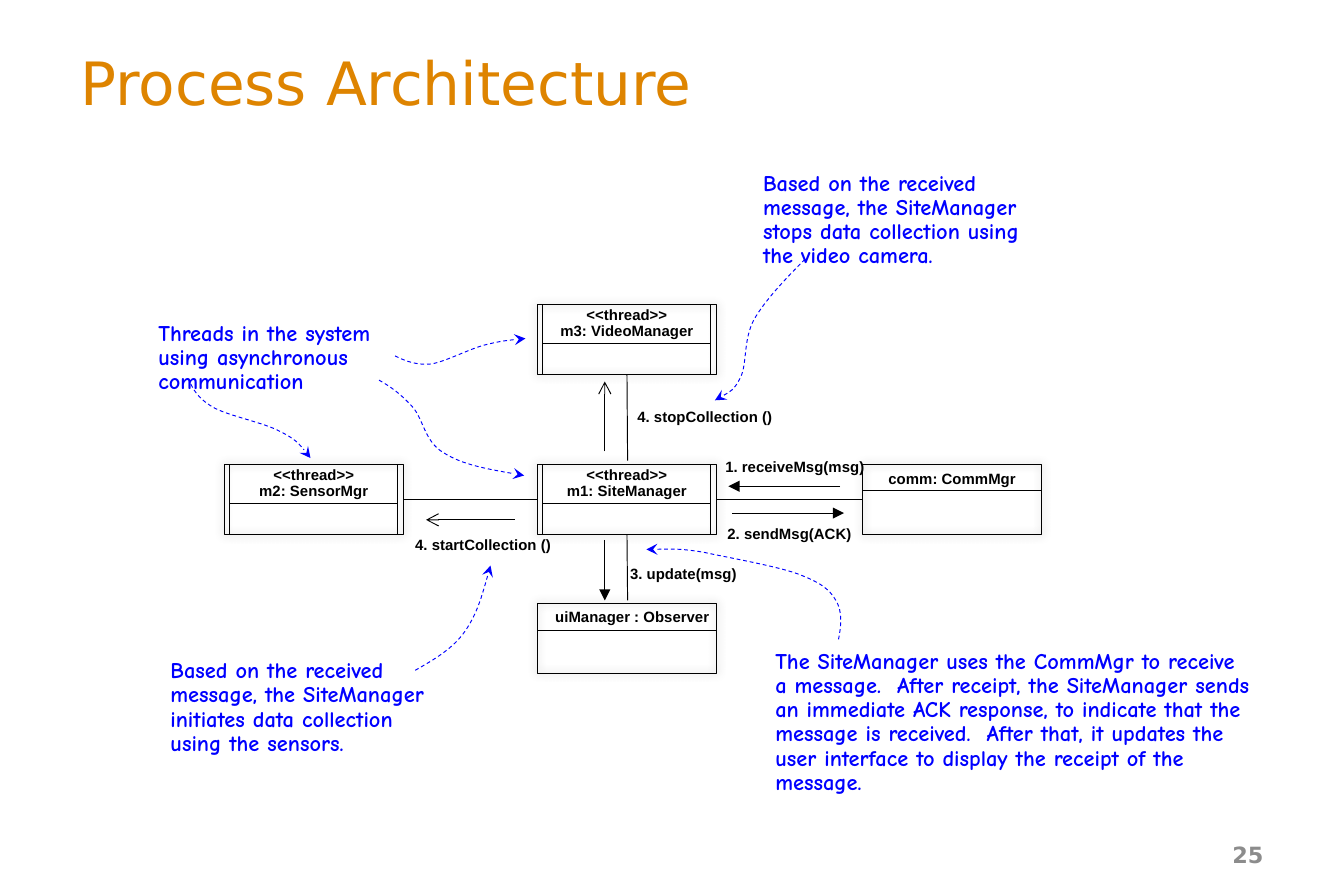
from lxml import etree
from pptx import Presentation, util as u
from pptx.dml.color import RGBColor
from pptx.enum import dml, shapes, text
from pptx.oxml import parse_xml
from pptx.oxml.ns import nsdecls, qn

PX = 9144  # 100 px to the inch
COLORS = {"title": "DE8400", "number": "8C8C8C", "ink": "000000", "note": "0000FF"}
BOX_W, BOX_H, LABEL_H, BAR = 133, 52, 22, 4

# name: left, top
THREADS = {
    "m1: SiteManager": (400, 346),
    "m3: VideoManager": (400, 227),
    "m2: SensorMgr": (167, 346),
}
# name: left, top, divider offset, label width
OBJECTS = {
    "uiManager : Observer": (400, 449, 20, 141),
    "comm: CommMgr": (642, 346, 19, BOX_W),
}
# start, end, (box, side) joined at the start, (box, side) joined at the end
LINKS = [
    ((400, 372), (300, 372), ("m1: SiteManager", 1), ("m2: SensorMgr", 3)),
    ((467, 343), (467, 279), None, ("m3: VideoManager", 2)),
    ((467, 398), (467, 447), ("m1: SiteManager", 2), None),
    ((533, 372), (642, 372), ("m1: SiteManager", 3), ("comm: CommMgr", 1)),
]
# start, end, arrowhead, wording, wording left and top
MESSAGES = [
    ((625, 362), (542, 362), "triangle", "1. receiveMsg(msg)", 525, 337),
    ((545, 382), (628, 382), "triangle", "2. sendMsg(ACK)", 521, 387),
    ((450, 402), (450, 447), "triangle", "3. update(msg)", 442, 417),
    ((383, 387), (317, 387), "arrow", "4. startCollection ()", 293, 395),
    ((450, 336), (450, 284), "arrow", "4. stopCollection ()", 458, 300),
]
# wording, left, top, width, height, and curves: a start, then Bezier points in threes
NOTES = [
    ("Threads in the system using asynchronous communication", 108, 235, 200, 65, [
        [(294, 265), (302, 269), (310, 272), (321, 271), (332, 269), (349, 260),
         (360, 257), (372, 254), (381, 253), (391, 252)],
        [(282, 283), (291, 288), (299, 294), (307, 303), (315, 312), (316, 329),
         (330, 337), (344, 346), (367, 350), (390, 354)],
        [(142, 286), (145, 292), (149, 298), (160, 304), (172, 310), (197, 315),
         (208, 321), (220, 327), (226, 334), (231, 341)],
    ]),
    ("The SiteManager uses the CommMgr to receive a message.  After receipt, the "
     "SiteManager sends an immediate ACK response, to indicate that the message is "
     "received.  After that, it updates the user interface to display the receipt "
     "of the message.", 567, 479, 375, 138, [
        [(624, 476), (626, 466), (627, 455), (622, 447), (617, 438), (609, 433),
         (593, 427), (576, 421), (541, 415), (523, 411), (504, 408), (493, 409),
         (481, 409)],
     ]),
    ("Based on the received message, the SiteManager initiates data collection "
     "using the sensors.", 117, 486, 217, 101, [
        [(309, 499), (323, 491), (337, 483), (346, 470), (355, 457), (360, 439),
         (365, 421)],
     ]),
    ("Based on the received message, the SiteManager stops data collection using "
     "the video camera.", 558, 123, 217, 101, [
        [(599, 193), (584, 208), (569, 224), (561, 238), (553, 253), (556, 271),
         (551, 281), (546, 291), (539, 294), (532, 298)],
     ]),
]

prs = Presentation()
prs.slide_width, prs.slide_height = 1000 * PX, 667 * PX
slide = prs.slides.add_slide(prs.slide_layouts[6])


def rgb(name):
    return RGBColor.from_string(COLORS[name])


def style_line(part, color, head=None):
    part.line.color.rgb = rgb(color)
    part.line.width = u.Pt(0.5)
    if head:
        etree.SubElement(part.line._get_or_add_ln(), qn("a:tailEnd"), type=head)


def add_text(words, left, top, width, height, size, font, color, bold=False,
             align=text.PP_ALIGN.LEFT, middle=False, spacing=None):
    frame = slide.shapes.add_textbox(left * PX, top * PX, width * PX, height * PX).text_frame
    frame.word_wrap = True
    frame.vertical_anchor = text.MSO_ANCHOR.MIDDLE if middle else text.MSO_ANCHOR.TOP
    frame.text = words
    paragraph = frame.paragraphs[0]
    paragraph.alignment = align
    if spacing:
        paragraph.line_spacing = spacing
    run_font = paragraph.runs[0].font
    run_font.size, run_font.name, run_font.bold = u.Pt(size), font, bold
    run_font.color.rgb = rgb(color)


def add_label(words, left, top, width=BOX_W):
    add_text(words, left, top, width, LABEL_H, 8, "Arial", "ink", True,
             text.PP_ALIGN.CENTER, spacing=0.9)


def add_line(start, end, head=None):
    line = slide.shapes.add_connector(
        shapes.MSO_CONNECTOR.STRAIGHT, *(n * PX for n in start + end))
    style_line(line, "ink", head)
    etree.SubElement(line._element.spPr, qn("a:effectLst"))
    return line


def add_box(left, top):
    box = slide.shapes.add_shape(
        shapes.MSO_SHAPE.RECTANGLE, left * PX, top * PX, BOX_W * PX, BOX_H * PX)
    box.fill.background()
    style_line(box, "ink")
    box.shadow.inherit = False
    box._element.spPr.find(qn("a:effectLst")).append(parse_xml(
        f'<a:outerShdw {nsdecls("a")} blurRad="63500" dist="0" dir="0">'
        f'<a:srgbClr val="{COLORS["ink"]}"><a:alpha val="40000"/></a:srgbClr></a:outerShdw>'))
    return box


def add_curve(points):
    builder = slide.shapes.build_freeform(*points[0], scale=PX)
    builder.add_line_segments(points[1:], close=False)
    curve = builder.convert_to_shape()
    curve.fill.background()
    style_line(curve, "note", "stealth")
    curve.line.dash_style = dml.MSO_LINE.DASH
    curve.shadow.inherit = False
    # Every three line segments become one Bezier segment
    steps = list(curve._element.iter(qn("a:lnTo")))
    for first in range(0, len(steps), 3):
        bezier = etree.Element(qn("a:cubicBezTo"))
        steps[first].addprevious(bezier)
        for step in steps[first:first + 3]:
            bezier.append(step[0])
            step.getparent().remove(step)


# Title and slide number
add_text("Process Architecture", 50, 27, 900, 68, 32, "DejaVu Sans", "title", middle=True)
add_text("25", 717, 618, 233, 36, 12, "DejaVu Sans", "number", True,
         text.PP_ALIGN.RIGHT, middle=True)

# Threads, with a bar on either side
boxes = {}
for name, (left, top) in THREADS.items():
    boxes[name] = add_box(left, top)
    inner_left, inner_right = left + BAR, left + BOX_W - BAR
    add_line((inner_left, top + 29), (inner_right, top + 29))
    for x in (inner_left, inner_right):
        add_line((x, top), (x, top + BOX_H))
    add_label("<<thread>>", left, top - 3)
    add_label(name, left, top + 9)

# Plain objects
for name, (left, top, divider, label_width) in OBJECTS.items():
    boxes[name] = add_box(left, top)
    add_line((left, top + divider), (left + BOX_W, top + divider))
    add_label(name, left, top, label_width)

# Links between boxes
for start, end, start_join, end_join in LINKS:
    link = add_line(start, end)
    if start_join:
        link.begin_connect(boxes[start_join[0]], start_join[1])
    if end_join:
        link.end_connect(boxes[end_join[0]], end_join[1])

# Messages
for start, end, head, words, left, top in MESSAGES:
    add_line(start, end, head)
    add_label(words, left, top)

# Notes and their dashed pointers
for words, left, top, width, height, curves in NOTES:
    add_text(words, left, top, width, height, 12, "Comic Neue", "note", True, spacing=0.9)
    for points in curves:
        add_curve(points)

prs.save("out.pptx")
